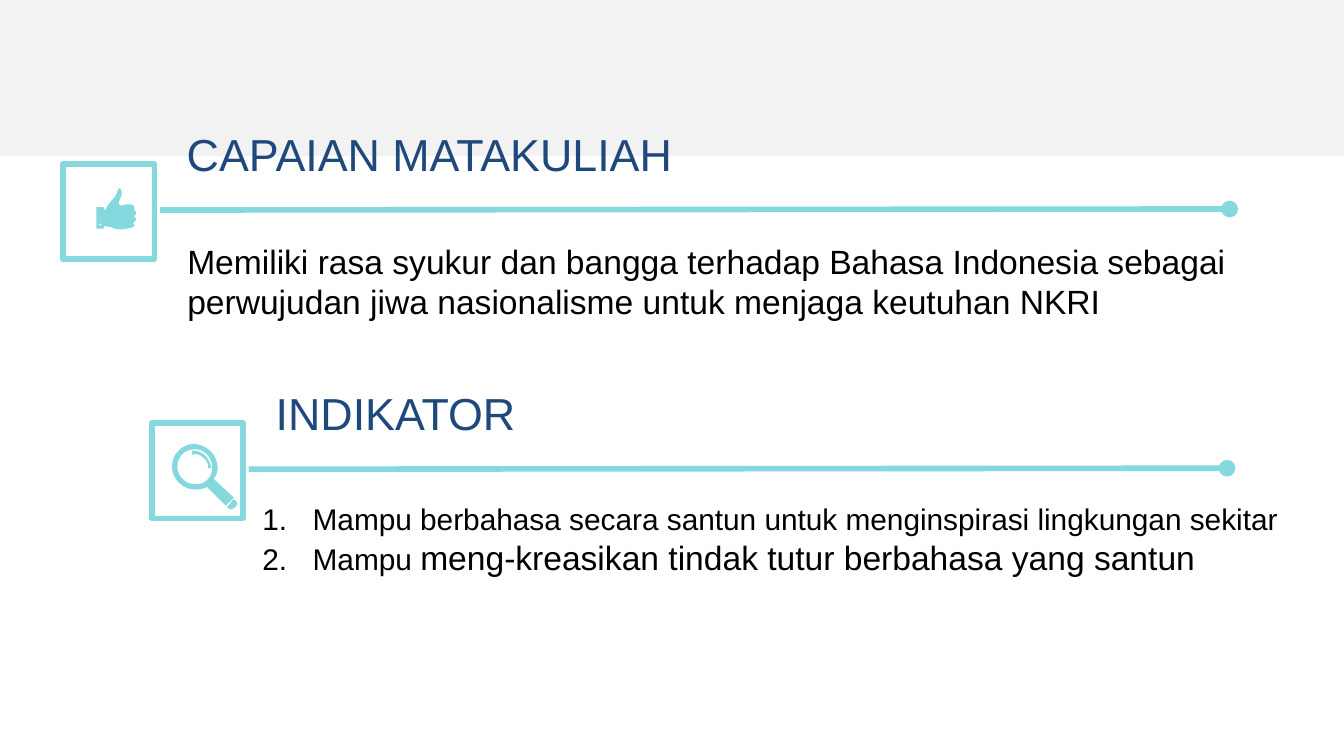
from pptx import Presentation
from pptx.dml.color import RGBColor
from pptx.enum.shapes import MSO_CONNECTOR as Connector, MSO_SHAPE as Shape
from pptx.oxml.ns import qn
from pptx.util import Cm, Pt
from lxml.etree import SubElement

TEAL, NAVY, BLACK, WHITE, GREY = "85D8DE", "1F497D", "000000", "FFFFFF", "F2F2F2"
ICON_UNIT = Cm(0.0254)

THUMB = [
    "M 3 26 C 2 26 2 27 2 27 C 2 28 2 28 3 28 C 3 28 4 28 4 27 C 4 27 3 26 3 26",
    "M 17 0 C 18 0 19 1 19 3 C 20 6 14 12 18 13 C 21 12 23 12 26 12 "
    "C 28 12 29 14 28 16 C 29 16 31 19 28 21 C 31 23 29 25 27 26 "
    "C 29 27 29 28 27 29 C 24 30 16 32 11 29 C 9 28 8 28 6 28 L 6 29 "
    "C 6 30 6 30 5 30 L 0 30 L 0 14 L 5 14 C 6 14 6 15 6 16 L 6 16 "
    "C 6 16 7 16 7 16 C 7 15 8 14 9 12 C 11 9 15 7 16 1 C 16 0 16 0 17 0",
]
MAGNIFIER = [
    "M 46 41 L 48 43 C 49 44 49 45 48 46 L 46 48 C 45 49 43 49 42 48 "
    "C 42 48 41 47 41 47",
    "M 15 5 C 19 5 22 6 25 9 C 27 11 29 15 29 18 L 27 18 "
    "C 27 15 26 12 23 10 C 21 8 18 7 15 8",
    "M 17 4 C 9 4 4 10 4 17 C 4 24 10 30 17 30 C 24 31 30 25 30 18 "
    "C 30 10 24 4 17 4",
    "M 17 0 C 26 1 34 8 34 18 C 34 21 33 24 31 26 L 46 40 L 40 46 L 26 32 "
    "C 23 34 20 34 17 34 C 8 34 0 26 0 17 C 0 8 7 0 17 0",
]


def paint(target, color):
    target.solid()
    target.fore_color.rgb = RGBColor.from_string(color)


def add_rectangle(page, left, top, width, height, fill, outline=None):
    box = page.shapes.add_shape(
        Shape.RECTANGLE, Cm(left), Cm(top), Cm(width), Cm(height))
    box.shadow.inherit = False
    paint(box.fill, fill)
    if outline:
        paint(box.line.fill, outline)
        box.line.width = Pt(3)
    else:
        box.line.fill.background()


def add_text(page, left, top, width, height, paragraphs, color, numbered=False):
    box = page.shapes.add_textbox(Cm(left), Cm(top), Cm(width), Cm(height))
    frame = box.text_frame
    frame.word_wrap = True
    for index, spans in enumerate(paragraphs):
        para = frame.add_paragraph() if index else frame.paragraphs[0]
        for text, size in spans:
            span = para.add_run()
            span.text = text
            span.font.name = "Arial"
            span.font.size = Pt(size)
            paint(span.font.fill, color)
        if numbered:
            props = para._p.get_or_add_pPr()
            props.set("marL", str(Cm(0.95)))
            props.set("indent", str(-Cm(0.95)))
            SubElement(props, qn("a:buAutoNum")).set("type", "arabicPeriod")


def add_rule(page, left, top, right):
    rule = page.shapes.add_connector(
        Connector.STRAIGHT, Cm(left), Cm(top), Cm(right), Cm(top - 0.02))
    paint(rule.line.fill, TEAL)
    rule.line.width = Pt(3)
    SubElement(rule.line._get_or_add_ln(), qn("a:tailEnd")).set("type", "oval")
    SubElement(rule._element.spPr, qn("a:effectLst"))


def read_contour(contour):
    steps = []
    for part in contour.replace("C", "|C").replace("L", "|L").split("|"):
        values = [int(value) * ICON_UNIT for value in part.split()[1:]]
        steps.append(list(zip(values[::2], values[1::2])))
    return steps


def bend(segment, points):
    segment.tag = qn("a:cubicBezTo")
    for child in list(segment):
        segment.remove(child)
    for x, y in points:
        point = SubElement(segment, qn("a:pt"))
        point.set("x", str(x))
        point.set("y", str(y))


def add_icon(page, left, top, contours):
    outlines = [read_contour(contour) for contour in contours]
    builder = page.shapes.build_freeform(*outlines[0][0][0])
    for index, outline in enumerate(outlines):
        if index:
            builder.move_to(*outline[0][0])
        builder.add_line_segments([step[-1] for step in outline[1:]], close=True)
    icon = builder.convert_to_shape(Cm(left), Cm(top))
    segments = list(icon._element.iter(qn("a:lnTo")))
    steps = [step for outline in outlines for step in outline[1:]]
    for segment, step in zip(segments, steps):
        if len(step) == 3:
            bend(segment, step)
    icon.shadow.inherit = False
    paint(icon.fill, TEAL)
    icon.line.fill.background()


def add_section(page, left, top, right, title, icon, icon_offset):
    add_text(page, left + 2.09, top - 0.83, 13.84, 1.27, [[(title, 24)]], NAVY)
    add_rule(page, left + 1.83, top + 0.87, right)
    add_rectangle(page, left, top, 1.73, 1.8, WHITE, TEAL)
    add_icon(page, left + icon_offset[0], top + icon_offset[1], icon)


def build_page(page):
    add_rectangle(page, 0, 0, 25.4, 2.95, GREY)
    add_section(page, 1.19, 3.1, 23.24, "CAPAIAN MATAKULIAH", THUMB, (0.63, 0.46))
    add_text(page, 3.29, 4.43, 20.32, 1.8, [[
        ("Memiliki rasa syukur dan bangga terhadap Bahasa Indonesia sebagai "
         "perwujudan jiwa nasionalisme untuk menjaga keutuhan NKRI", 18)]], BLACK)
    add_section(page, 2.87, 8, 23.19, "INDIKATOR", MAGNIFIER, (0.38, 0.39))
    add_text(page, 4.71, 9.34, 19.89, 2.49, [
        [("Mampu berbahasa secara santun untuk menginspirasi lingkungan sekitar", 16)],
        [("Mampu ", 16), ("meng-kreasikan tindak tutur berbahasa yang santun", 18)],
    ], BLACK, numbered=True)


def main():
    deck = Presentation()
    deck.slide_width, deck.slide_height = Cm(25.4), Cm(14.29)
    build_page(deck.slides.add_slide(deck.slide_layouts[6]))
    deck.save("out.pptx")


if __name__ == "__main__":
    main()
